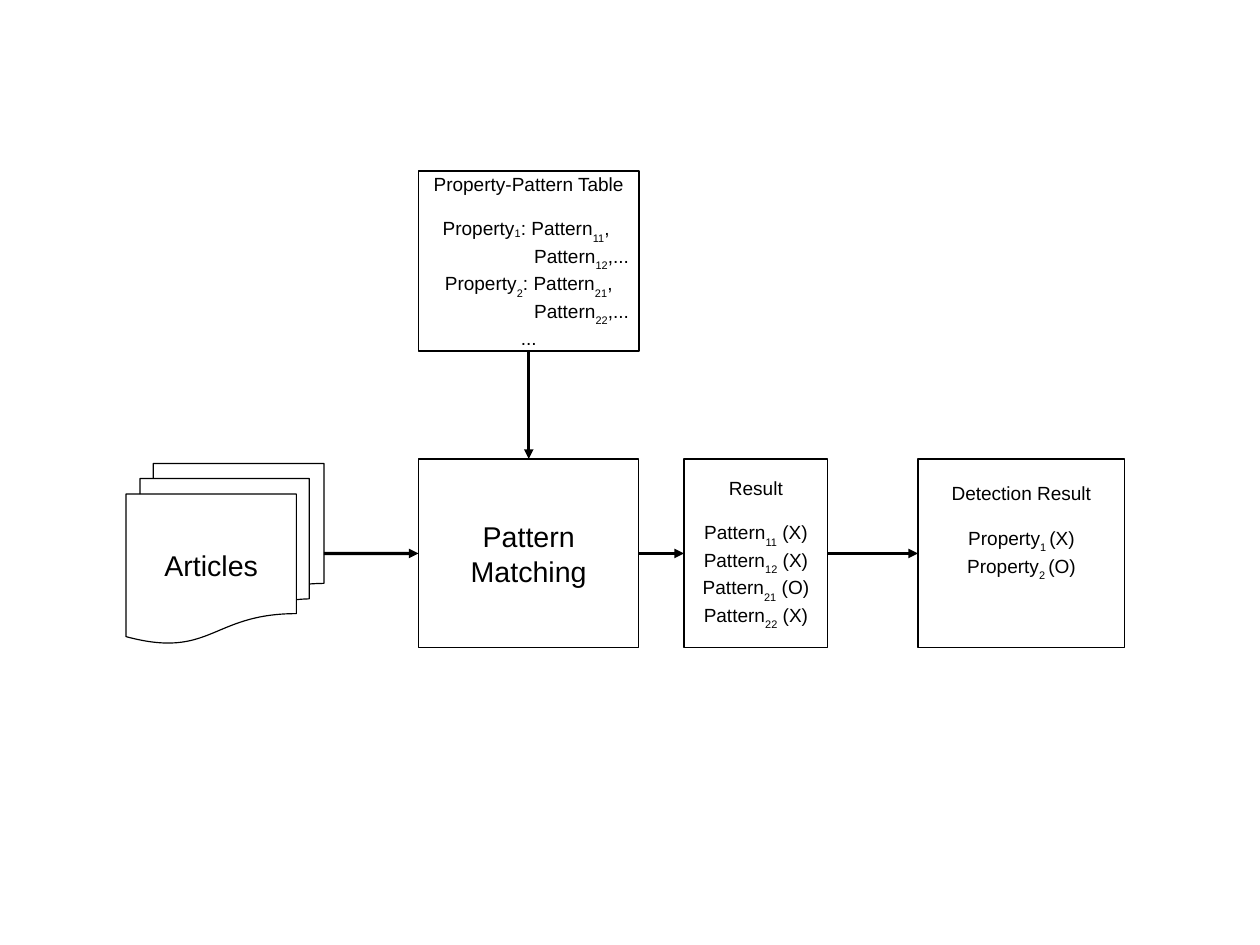
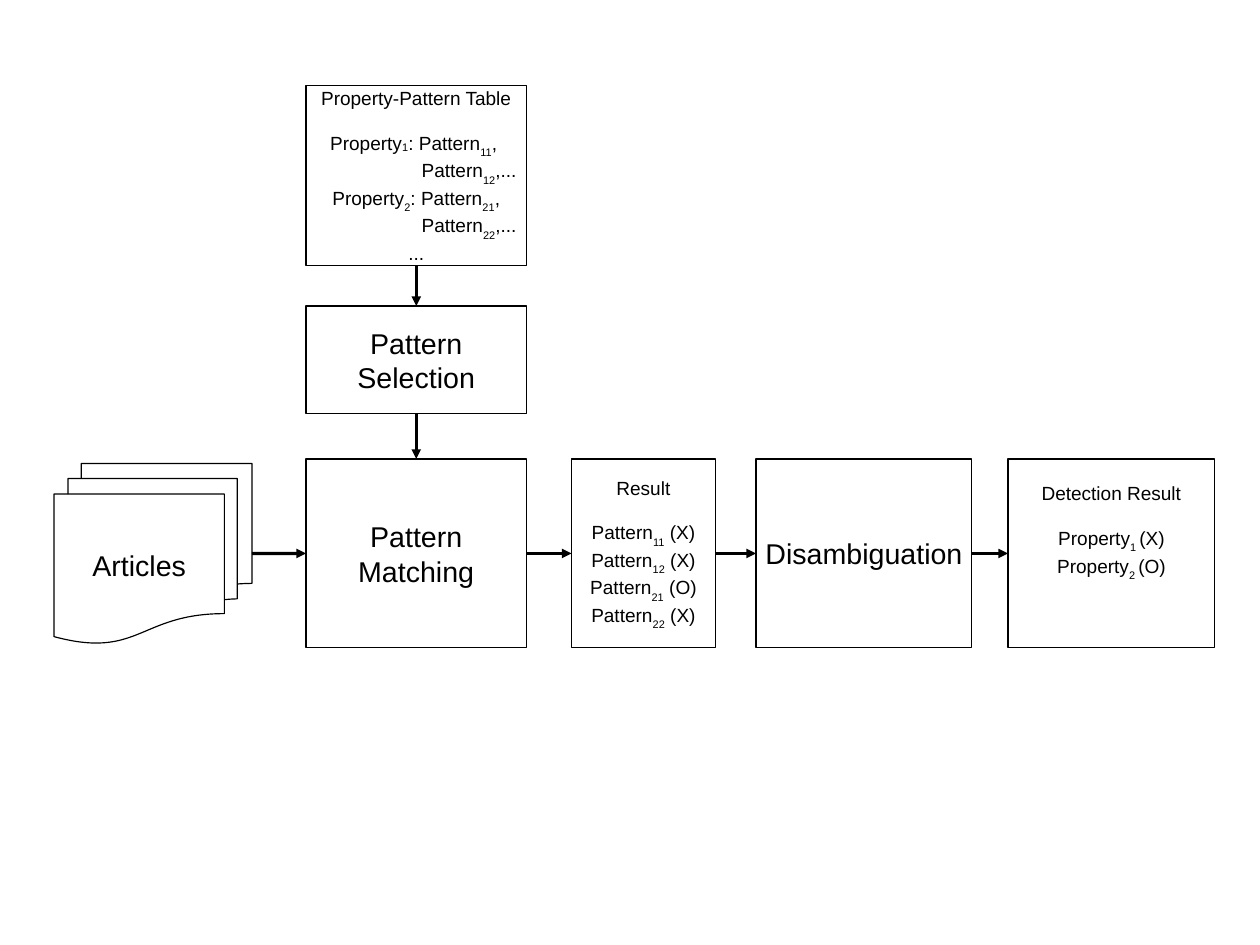
from lxml.etree import SubElement
from pptx import Presentation
from pptx.dml.color import RGBColor
from pptx.enum.shapes import MSO_CONNECTOR as Link, MSO_SHAPE as Shape
from pptx.enum.text import MSO_ANCHOR as Anchor, PP_ALIGN as Align
from pptx.oxml.ns import qn
from pptx.util import Cm, Pt

COLORS = {"ink": "000000", "paper": "FFFFFF"}
FONT = "Arial"
STEP_SIZE, LISTING_SIZE = 18, 12
HEADING_GAP = 13.8
SECOND_COLUMN = 2.35
TOP, LEFT, BOTTOM, RIGHT = range(4)

ROW_TOP, ROW_HEIGHT = 10.2, 4.2
ARTICLES_TOP, ARTICLES_WIDTH, ARTICLES_HEIGHT = 10.3, 4.4, 4
MATCHING_WIDTH, RESULT_WIDTH, DETECTION_WIDTH = 4.9, 3.2, 4.6
TABLE_HEIGHT = 4


def ink():
    return RGBColor.from_string(COLORS["ink"])


def sub(text, drop=33):
    return text, drop


def add_runs(paragraph, parts, size):
    paragraph.alignment = Align.CENTER
    for part in parts:
        text, drop = (part, 0) if isinstance(part, str) else part
        run = paragraph.add_run()
        run.text = text
        run.font.name = FONT
        run.font.size = Pt(size)
        run.font.color.rgb = ink()
        if drop:
            run.font._element.set("baseline", str(-drop * 1000))


def add_box(slide, box, lines, size=STEP_SIZE, kind=Shape.RECTANGLE):
    shape = slide.shapes.add_shape(kind, *map(Cm, box))
    shape.shadow.inherit = False
    shape.fill.background()
    shape.line.color.rgb = ink()
    shape.line.width = Pt(0)
    frame = shape.text_frame
    frame.word_wrap = True
    frame.vertical_anchor = Anchor.MIDDLE
    frame.margin_left = frame.margin_right = Cm(0.1)
    frame.margin_top = frame.margin_bottom = Cm(0.13)
    for index, parts in enumerate(lines):
        paragraph = frame.add_paragraph() if index else frame.paragraphs[0]
        add_runs(paragraph, parts, size)
    return shape


def add_listing(slide, box, heading, entries, kind=Shape.RECTANGLE):
    listing = add_box(slide, box, [[heading], *entries], LISTING_SIZE, kind)
    listing.text_frame.paragraphs[1].space_before = Pt(HEADING_GAP)
    return listing


def add_arrow(slide, source, source_side, target, target_side):
    arrow = slide.shapes.add_connector(Link.STRAIGHT, 0, 0, 0, 0)
    arrow.begin_connect(source, source_side)
    arrow.end_connect(target, target_side)
    arrow.line.color.rgb = ink()
    arrow.line.width = Pt(0)
    SubElement(arrow.line._get_or_add_ln(), qn("a:tailEnd"), type="triangle")
    SubElement(arrow._element.spPr, qn("a:effectLst"))


def chain(slide, stages, source_side, target_side):
    for source, target in zip(stages, stages[1:]):
        add_arrow(slide, source, source_side, target, target_side)


def add_articles(slide, left):
    box = (left, ARTICLES_TOP, ARTICLES_WIDTH, ARTICLES_HEIGHT)
    return add_box(slide, box, [["Articles"]], kind=Shape.FLOWCHART_MULTIDOCUMENT)


def add_matching(slide, left):
    box = (left, ROW_TOP, MATCHING_WIDTH, ROW_HEIGHT)
    return add_box(slide, box, [["Pattern"], ["Matching"]])


def add_property_table(slide, left, top):
    entries = [
        ["Property", sub("1", 8), ": Pattern", sub("11"), ", "],
        ["Pattern", sub("12"), ",..."],
        ["Property", sub("2"), ": Pattern", sub("21"), ","],
        ["Pattern", sub("22"), ",..."],
        ["..."],
    ]
    table = add_listing(slide, (left, top, MATCHING_WIDTH, TABLE_HEIGHT),
                        "Property-Pattern Table", entries, Shape.FLOWCHART_PROCESS)
    for paragraph in table.text_frame.paragraphs[2:5:2]:
        paragraph._p.get_or_add_pPr().set("marL", str(Cm(SECOND_COLUMN)))
    return table


def add_result(slide, left):
    marks = [("11", "X"), ("12", "X"), ("21", "O"), ("22", "X")]
    entries = [["Pattern", sub(number), f" ({mark})"] for number, mark in marks]
    return add_listing(slide, (left, ROW_TOP, RESULT_WIDTH, ROW_HEIGHT), "Result", entries)


def add_detection(slide, left):
    marks = [("1 ", "X"), ("2 ", "O")]
    entries = [["Property", sub(number), f"({mark})"] for number, mark in marks]
    detection = add_listing(slide, (left, ROW_TOP, DETECTION_WIDTH, ROW_HEIGHT),
                            "Detection Result", entries)
    detection.text_frame.margin_bottom = Cm(1.1)
    return detection


def add_slide(deck):
    slide = deck.slides.add_slide(deck.slide_layouts[6])
    fill = slide.background.fill
    fill.solid()
    fill.fore_color.rgb = RGBColor.from_string(COLORS["paper"])
    return slide


def build_basic_flow(deck):
    slide = add_slide(deck)
    matching = add_matching(slide, 9.3)
    table = add_property_table(slide, 9.3, 3.8)
    row = [add_articles(slide, 2.8), matching,
           add_result(slide, 15.2), add_detection(slide, 20.4)]
    chain(slide, row, RIGHT, LEFT)
    chain(slide, [table, matching], BOTTOM, TOP)


def build_extended_flow(deck):
    slide = add_slide(deck)
    matching = add_matching(slide, 6.8)
    table = add_property_table(slide, 6.8, 1.9)
    selection = add_box(slide, (6.8, 6.8, MATCHING_WIDTH, 2.4),
                        [["Pattern"], ["Selection"]])
    disambiguation = add_box(slide, (16.8, ROW_TOP, 4.8, ROW_HEIGHT),
                             [["Disambiguation"]])
    row = [add_articles(slide, 1.2), matching, add_result(slide, 12.7),
           disambiguation, add_detection(slide, 22.4)]
    chain(slide, row, RIGHT, LEFT)
    chain(slide, [table, selection, matching], BOTTOM, TOP)


def main():
    deck = Presentation()
    deck.slide_width, deck.slide_height = Cm(28), Cm(21)
    build_basic_flow(deck)
    build_extended_flow(deck)
    deck.save("out.pptx")


if __name__ == "__main__":
    main()
